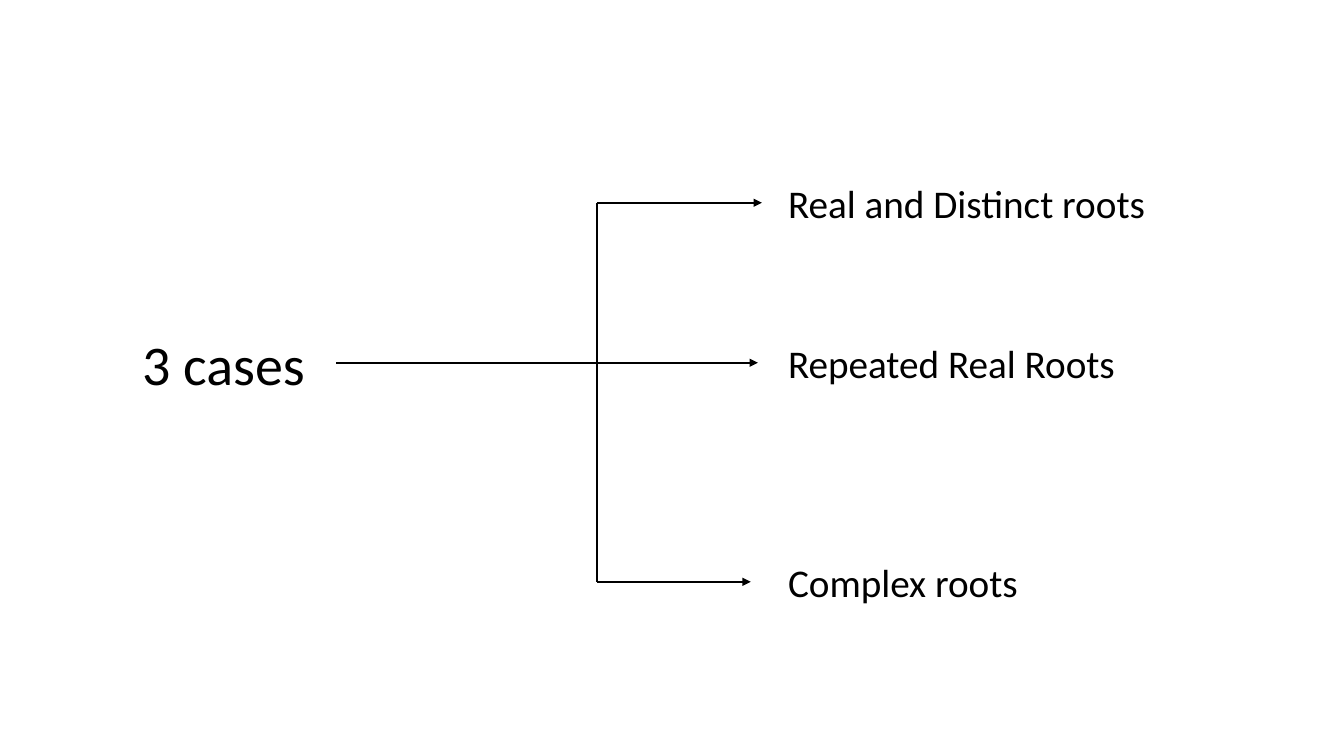
from lxml import etree
from pptx import Presentation
from pptx.dml.color import RGBColor
from pptx.enum.shapes import MSO_CONNECTOR
from pptx.enum.text import MSO_ANCHOR, PP_ALIGN
from pptx.oxml.ns import qn
from pptx.util import Cm, Pt

STRAIGHT = MSO_CONNECTOR.STRAIGHT
LEFT = PP_ALIGN.LEFT
MIDDLE = MSO_ANCHOR.MIDDLE
BLACK = RGBColor(0, 0, 0)
FONT = "Calibri"

# Content: heading, then each case with its height on the slide and arrow tip (cm)
HEADING = "3 cases"
CASES = [
    ("Real and Distinct roots", 5.11, 19.2),
    ("Repeated Real Roots", 9.14, 19.1),
    ("Complex roots", 14.66, 18.92),
]

# Layout (cm)
HEADING_LEFT, HEADING_WIDTH, HEADING_HEIGHT = 3.33, 5.74, 1.96
LABEL_LEFT, LABEL_WIDTH, LABEL_HEIGHT = 19.61, 9.8, 1.45
STEM_LEFT, TRUNK_X = 8.48, 15.04
TOP_Y, STEM_Y, BOTTOM_Y = [y for _, y, _ in CASES]


def write_text(box, text, left, middle, width, height, size):
    """Place a text shape around a middle height and fill it with one line."""
    box.left, box.top = Cm(left), Cm(middle - height / 2)
    box.width, box.height = Cm(width), Cm(height)
    frame = box.text_frame
    frame.word_wrap = True
    frame.vertical_anchor = MIDDLE
    para = frame.paragraphs[0]
    para.alignment = LEFT
    para.line_spacing = 1.0
    span = para.add_run()
    span.text = text
    span.font.name, span.font.size = FONT, Pt(size)
    span.font.color.rgb = BLACK


def draw_line(page, start, end, arrow=False):
    """Draw a black line between two points, with an optional arrowhead."""
    line = page.shapes.add_connector(STRAIGHT, *map(Cm, start + end))
    line.line.color.rgb = BLACK
    line.line.width = Pt(1.5)
    if arrow:
        outline = line.line._get_or_add_ln()
        etree.SubElement(outline, qn("a:tailEnd"), type="triangle")
    etree.SubElement(line._element.spPr, qn("a:effectLst"))


deck = Presentation()
deck.slide_width, deck.slide_height = Cm(33.87), Cm(19.05)
title_only = deck.slide_layouts.get_by_name("Title Only")
page = deck.slides.add_slide(title_only)

write_text(page.shapes.title, HEADING, HEADING_LEFT, STEM_Y,
           HEADING_WIDTH, HEADING_HEIGHT, size=40)

draw_line(page, (STEM_LEFT, STEM_Y), (TRUNK_X, STEM_Y))
draw_line(page, (TRUNK_X, TOP_Y), (TRUNK_X, BOTTOM_Y))

for case, y, tip in CASES:
    draw_line(page, (TRUNK_X, y), (tip, y), arrow=True)
    label = page.shapes.add_textbox(0, 0, 0, 0)
    write_text(label, case, LABEL_LEFT, y, LABEL_WIDTH, LABEL_HEIGHT, size=28)

deck.save("out.pptx")
